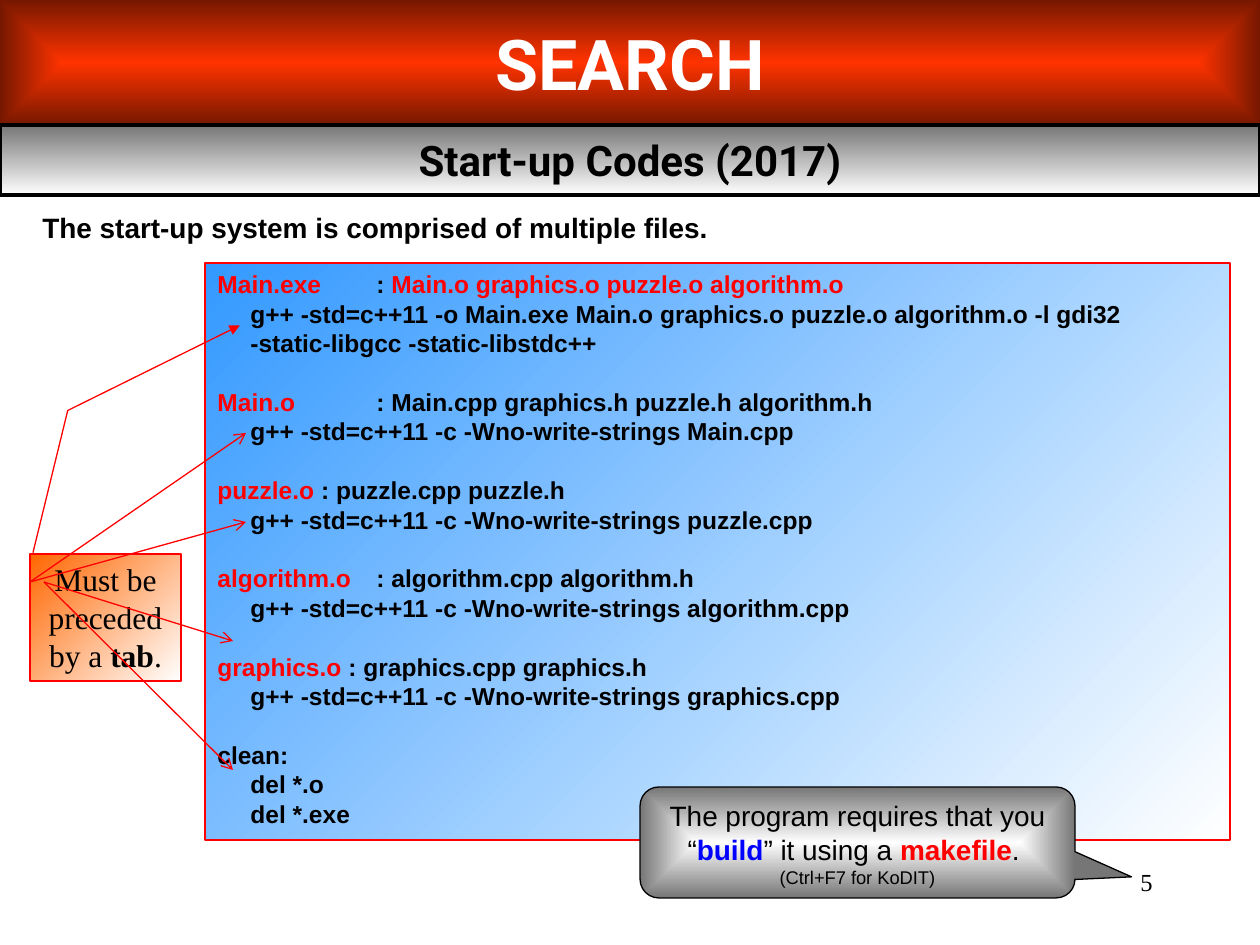
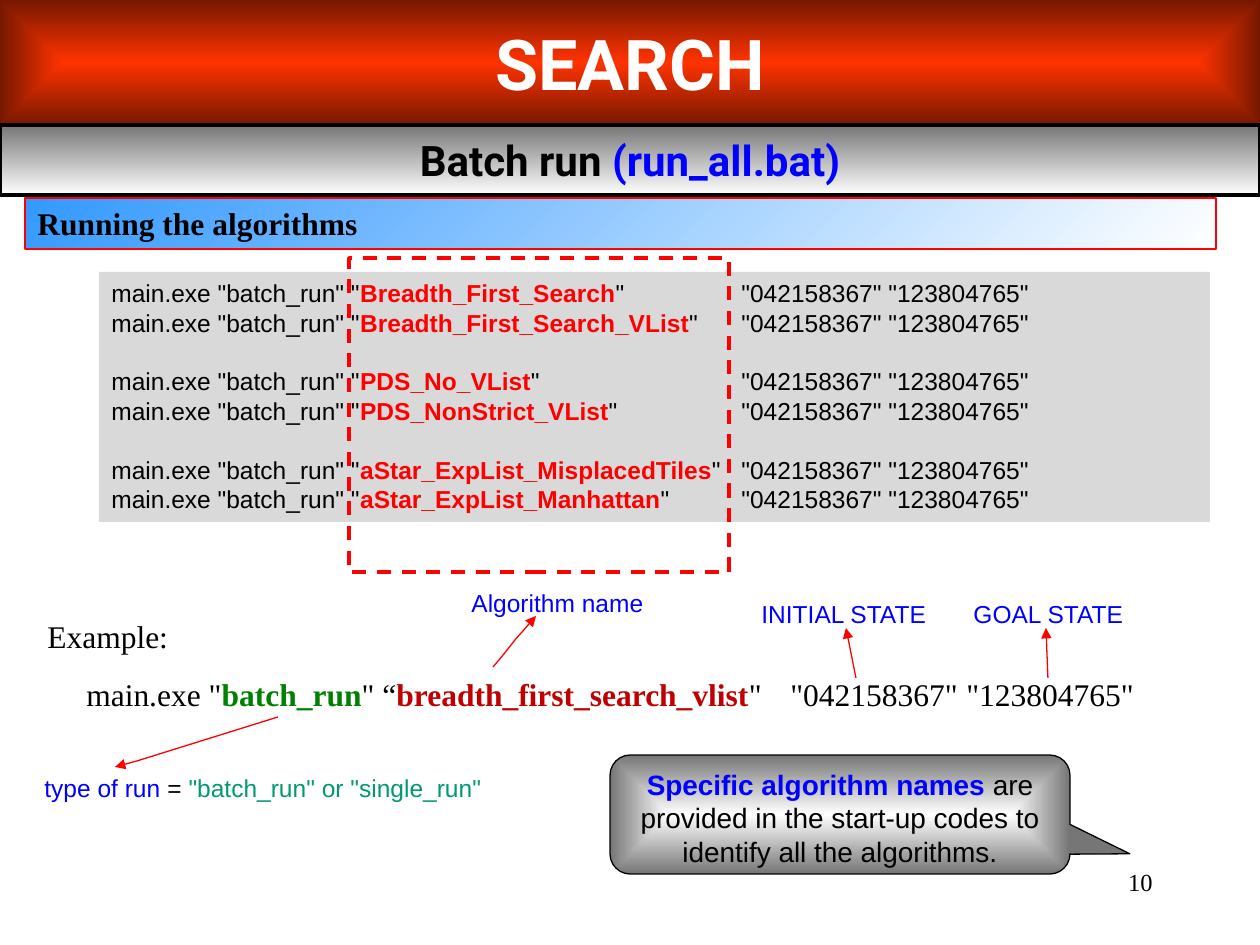
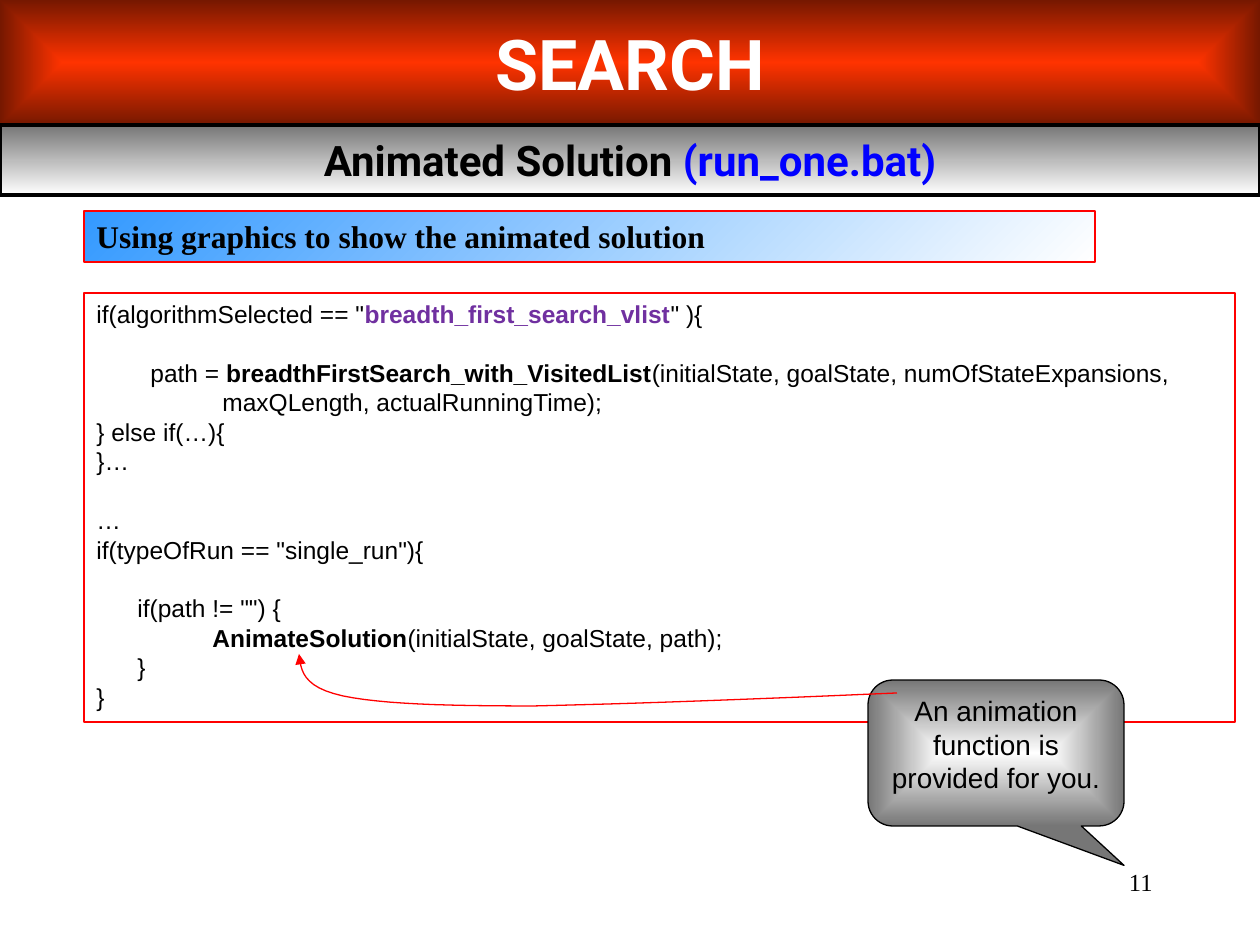
from lxml.etree import SubElement as Sub
from pptx import Presentation
from pptx.dml.color import RGBColor as RGB
from pptx.enum.dml import MSO_LINE as Dash
from pptx.enum.shapes import MSO_CONNECTOR as Conn, MSO_SHAPE as Kind
from pptx.enum.text import MSO_ANCHOR as Anchor, PP_ALIGN as Align
from pptx.oxml.ns import qn
from pptx.util import Pt

PX = 914400 / 126
BLACK = RGB(0, 0, 0)
WHITE = RGB(255, 255, 255)
RED = RGB(255, 0, 0)
BLUE = RGB(0, 0, 255)
SKY = RGB(0x33, 0x99, 0xFF)
FLAME = RGB(0xFF, 0x33, 0)
RUST = RGB(0x76, 0x18, 0)
GRAY = RGB(0x76, 0x76, 0x76)
SILVER = RGB(0xD9, 0xD9, 0xD9)
ORANGE = RGB(0xFF, 0x66, 0)
GREEN = RGB(0, 0x80, 0)
TEAL = RGB(0, 0x99, 0x73)
WINE = RGB(0xC0, 0, 0)
PURPLE = RGB(0x70, 0x30, 0xA0)

ARIAL, TIMES, ROBOTO = "Arial", "Times New Roman", "Roboto"
BASE = dict(name=ARIAL, size=14, bold=False, tint=BLACK)
HEAD = dict(name=ROBOTO, size=40, bold=True, tint=WHITE)
SUB = dict(name=ROBOTO, size=24, bold=True)
NOTE = dict(size=16)
SERIF = dict(name=TIMES, size=18)
STRONG = dict(bold=True)
LABEL = dict(tint=BLUE)
HOT = dict(tint=RED, bold=True)
LINE = 16.8
INDENT = 33


def emu(*vals):
    return [round(v * PX) for v in vals]


def put(item, vals):
    for key, val in vals.items():
        setattr(item, key, val)


def para(*runs, gap=0, left=0, hang=0, tab=126):
    return dict(runs=runs, gap=gap, left=left, hang=hang, tab=tab)


def style(font, vals):
    look = dict(vals)
    font.color.rgb = look.pop("tint")
    look["size"] = Pt(look["size"])
    put(font, look)


def write(shape, paras, look, align=Align.LEFT, anchor=Anchor.TOP, wrap=True):
    frame = shape.text_frame
    put(frame, dict(word_wrap=wrap, vertical_anchor=anchor))
    for num, item in enumerate(paras):
        if not isinstance(item, dict):
            item = para(item)
        par = frame.add_paragraph() if num else frame.paragraphs[0]
        put(par, dict(alignment=align, space_before=Pt(item["gap"])))
        props = par._p.get_or_add_pPr()
        sizes = emu(item["left"], -item["hang"], item["tab"])
        for key, val in zip(("marL", "indent", "defTabSz"), sizes):
            props.set(key, str(val))
        for part in item["runs"]:
            text, extra = (part, {}) if isinstance(part, str) else part
            run = par.add_run()
            run.text = text
            style(run.font, {**BASE, **look, **extra})


def paint(shape, fill=None, fade=None, angle=None, mode=None):
    if fade:
        shape.fill.gradient()
        for stop, tint in zip(shape.fill.gradient_stops, fade):
            stop.color.rgb = tint
        if mode:
            grad = shape.element.spPr.find(qn("a:gradFill"))
            grad.remove(grad.find(qn("a:lin")))
            way = Sub(grad, qn("a:path"), path=mode)
            Sub(way, qn("a:fillToRect"), dict.fromkeys("ltrb", "50000"))
        else:
            shape.fill.gradient_angle = 360 - angle
    elif fill:
        shape.fill.solid()
        shape.fill.fore_color.rgb = fill
    else:
        shape.fill.background()


def edge(shape, tint=RED, width=0.75, tip=None):
    shape.line.color.rgb = tint
    shape.line.width = Pt(width)
    if tip:
        Sub(shape.element.spPr.find(qn("a:ln")), qn("a:tailEnd"), type=tip)


def box(slide, area, kind=Kind.RECTANGLE, line=None, **fill):
    shape = slide.shapes.add_shape(kind, *emu(*area))
    shape.shadow.inherit = False
    paint(shape, **fill)
    if line is None:
        shape.line.fill.background()
    else:
        edge(shape, **line)
    return shape


def label(slide, area, paras, look, **opts):
    write(slide.shapes.add_textbox(*emu(*area)), paras, look, **opts)


def bubble(slide, area, tail, paras):
    shape = box(slide, area, Kind.ROUNDED_RECTANGULAR_CALLOUT,
                dict(tint=BLACK), fade=(WHITE, GRAY), mode="rect")
    for num, val in enumerate(tail):
        shape.adjustments[num] = val
    write(shape, paras, NOTE, Align.CENTER)


def topic(slide, area, text):
    shape = box(slide, area, line={}, fade=(SKY, WHITE), angle=45)
    write(shape, [text], {**SERIF, **STRONG})


def arrow(slide, start, end):
    link = slide.shapes.add_connector(Conn.STRAIGHT, *emu(*start, *end))
    edge(link, tip="arrow")
    Sub(link.element.spPr, qn("a:effectLst"))


def trail(slide, points):
    first, *rest = [emu(*point) for point in points]
    pen = slide.shapes.build_freeform(*first)
    pen.add_line_segments(rest, close=False)
    shape = pen.convert_to_shape()
    shape.shadow.inherit = False
    paint(shape)
    edge(shape, tip="triangle")


def bend(points, steps=12):
    path = [points[0]]
    for at in range(0, len(points) - 1, 3):
        quad = points[at:at + 4]
        for step in range(1, steps + 1):
            t = step / steps
            rate = ((1 - t) ** 3, 3 * t * (1 - t) ** 2,
                    3 * t * t * (1 - t), t ** 3)
            path.append([sum(r * p[axis] for r, p in zip(rate, quad))
                         for axis in (0, 1)])
    return path


def start(deck, title, page):
    slide = deck.slides.add_slide(deck.slide_layouts[6])
    label(slide, (903, 861, 262, 63), [page], dict(name=TIMES), align=Align.RIGHT)
    band = box(slide, (0, 0, 1260, 125), fade=(FLAME, RUST), mode="rect")
    write(band, ["SEARCH"], HEAD, Align.CENTER, Anchor.MIDDLE)
    strip = box(slide, (0, 125, 1260, 70), line=dict(tint=BLACK, width=2.25),
                fade=(GRAY, WHITE), angle=90)
    write(strip, [para(*title)], SUB, Align.CENTER, Anchor.MIDDLE)
    return slide


def rule(goal, needs, *steps, gap=LINE):
    return [para(goal, *needs, gap=gap, left=INDENT, hang=INDENT),
            *(para(step, left=INDENT) for step in steps)]


def build(deck):
    slide = start(deck, ["Start-up Codes (2017)"], "5")
    gcc = "g++ -std=c++11 -c -Wno-write-strings "
    red = dict(tint=RED)
    make = [
        *rule(("Main.exe", red),
              ["\t: ", ("Main.o graphics.o puzzle.o algorithm.o", red)],
              "g++ -std=c++11 -o Main.exe Main.o graphics.o puzzle.o algorithm.o"
              " -l gdi32 -static-libgcc -static-libstdc++", gap=0),
        *rule(("Main.o", red), ["\t: Main.cpp graphics.h puzzle.h algorithm.h"],
              gcc + "Main.cpp"),
        *rule(("puzzle.o", red), [" : puzzle.cpp puzzle.h"], gcc + "puzzle.cpp"),
        *rule(("algorithm.o", red), ["\t: algorithm.cpp algorithm.h"],
              gcc + "algorithm.cpp"),
        *rule(("graphics.o", red), [" : graphics.cpp graphics.h"],
              gcc + "graphics.cpp"),
        *rule("clean:", [], "del *.o", "del *.exe"),
    ]
    code = box(slide, (205, 263, 1025, 577), line={}, fade=(SKY, WHITE), angle=45)
    code.text_frame.margin_right, = emu(60)
    write(code, make, STRONG)
    label(slide, (30, 204, 1200, 47),
          ["The start-up system is comprised of multiple files."],
          {**NOTE, **STRONG})
    bubble(slide, (640, 787, 435, 111), (0.63, 0.31, 0.17), [
        para("The program requires that you “", ("build", {**LABEL, **STRONG}),
             "” it using a ", ("makefile", HOT), ". "),
        para(("(Ctrl+F7 for KoDIT)", dict(size=10.5)))])
    hint = box(slide, (30, 554, 151, 127), Kind.LINE_CALLOUT_2,
               dict(tip="triangle"), fade=(ORANGE, WHITE), angle=45)
    for num, val in enumerate((-0.01, 0.02, -1.13, 0.25, -1.8, 1.39)):
        hint.adjustments[num] = val
    write(hint, [para("Must be preceded by a ", ("tab", STRONG), ".")],
          SERIF, Align.CENTER)
    for left, end in ((30, (246, 433)), (30, (246, 522)),
                      (44, (233, 641)), (44, (233, 770))):
        arrow(slide, (left, 582), end)


def batch(deck):
    slide = start(deck, ["Batch run ", ("(run_all.bat)", LABEL)], "10")
    bubble(slide, (610, 755, 460, 119), (0.63, 0.33, 0.17), [
        para(("Specific algorithm names ", {**LABEL, **STRONG}),
             "are provided in the start-up codes to identify all the algorithms.")])
    topic(slide, (25, 198, 1191, 51), "Running the algorithms")
    label(slide, (74, 669, 1160, 51), [
        para('main.exe "', ("batch_run", dict(tint=GREEN, bold=True)), '" “',
             ("breadth_first_search_vlist", dict(tint=WINE, bold=True)),
             '"\t"042158367"\t"123804765"', tab=44)], SERIF)
    label(slide, (35, 611, 155, 51), ["Example:"], SERIF, wrap=False)
    label(slide, (32, 767, 463, 42), [
        para(("type of run ", LABEL), "= ",
             ('"batch_run" or "single_run"', dict(tint=TEAL)))], {})
    label(slide, (749, 593, 397, 42),
          [para("INITIAL STATE\tGOAL STATE", tab=212)], LABEL)
    label(slide, (459, 582, 208, 42), ["Algorithm name"], LABEL)
    for path in (bend([(493, 667), (501, 658), (508, 649), (515, 640),
                       (523, 631), (536, 616), (536, 616)]),
                 [(278, 717), (137, 761), (115, 767)],
                 [(856, 678), (846, 628)],
                 [(1048, 678), (1046, 628)]):
        trail(slide, path)
    names = (("Breadth_First_Search", "Breadth_First_Search_VList"),
             ("PDS_No_VList", "PDS_NonStrict_VList"),
             ("aStar_ExpList_MisplacedTiles", "aStar_ExpList_Manhattan"))
    calls = [para('main.exe "batch_run" "', (name, HOT),
                  '"\t"042158367" "123804765"', tab=630,
                  gap=LINE if row and not col else 0)
             for row, pair in enumerate(names) for col, name in enumerate(pair)]
    write(box(slide, (99, 272, 1111, 250), fill=SILVER), calls, {})
    frame = box(slide, (349, 258, 380, 314), line=dict(width=2))
    frame.line.dash_style = Dash.DASH


def animate(deck):
    slide = start(deck, ["Animated Solution ", ("(run_one.bat)", LABEL)], "11")
    code = box(slide, (84, 293, 1151, 429), line={})
    write(code, [
        para('if(algorithmSelected == "',
             ("breadth_first_search_vlist", dict(tint=PURPLE, bold=True)), '" ){'),
        para("path = ", ("breadthFirstSearch_with_VisitedList", STRONG),
             "(initialState, goalState, numOfStateExpansions, "
             "maxQLength, actualRunningTime);", gap=LINE, left=126, hang=72),
        "} else if(…){",
        "}…",
        para("…", gap=LINE),
        'if(typeOfRun == "single_run"){',
        para('if(path != "") {', gap=LINE, left=41),
        para(("AnimateSolution", STRONG), "(initialState, goalState, path);",
             left=116),
        para("}", left=41),
        "}"], {})
    bubble(slide, (868, 680, 256, 146), (0.5, 0.77, 0.17),
           ["An animation function is provided for you."])
    topic(slide, (84, 211, 1011, 51), "Using graphics to show the animated solution")
    trail(slide, bend([(897, 693), (762, 699), (626, 704), (534, 706),
                       (441, 706), (382, 704), (343, 696),
                       (302, 687), (301, 670), (299, 654)]))


def main():
    deck = Presentation()
    deck.slide_width, deck.slide_height = emu(1260, 945)
    for make in (build, batch, animate):
        make(deck)
    deck.save("out.pptx")


if __name__ == "__main__":
    main()
